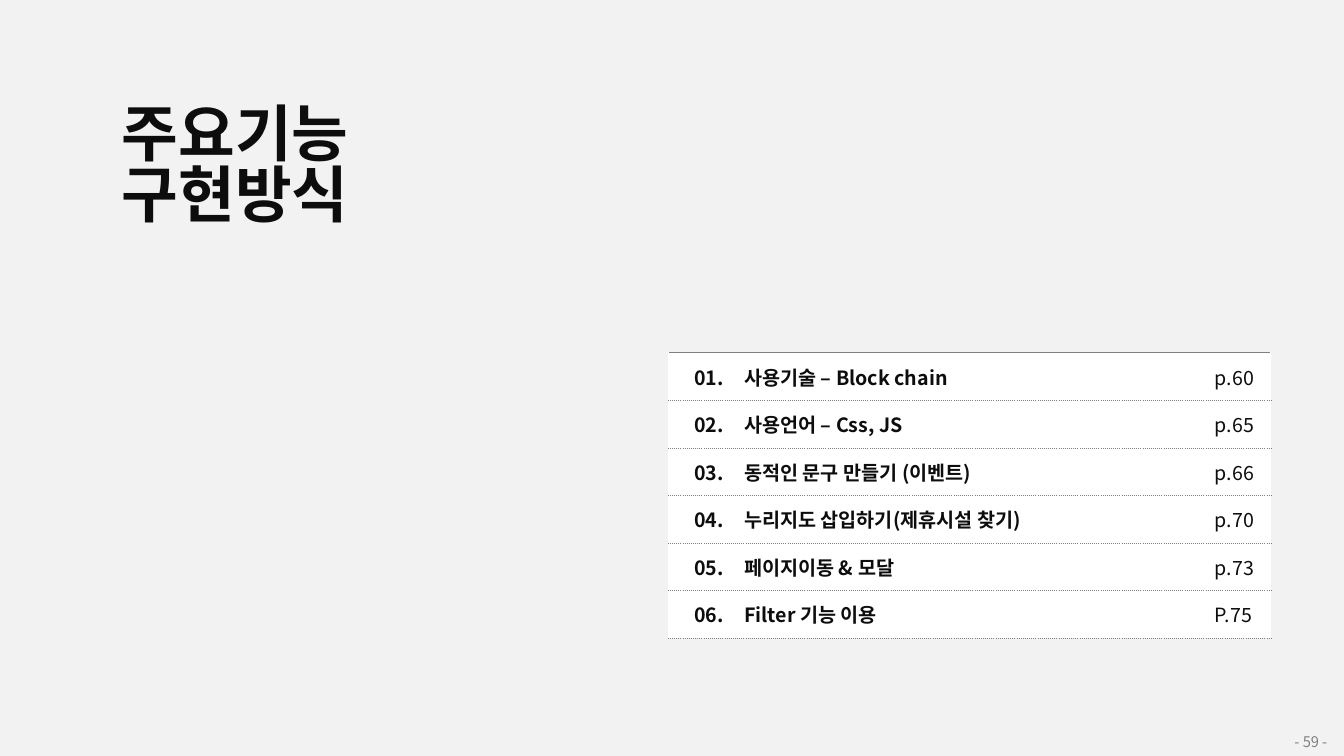
"""Build the section divider slide with its table of contents."""
import pptx
import pptx.util
import pptx.dml.color
import pptx.enum.text
import pptx.oxml
import pptx.oxml.ns
from dataclasses import dataclass

Inches = pptx.util.Inches
ALIGN = pptx.enum.text.PP_ALIGN
MIDDLE = pptx.enum.text.MSO_ANCHOR.MIDDLE

TITLE = "주요기능\v구현방식"
PAGE_NUMBER = "- 59 -"
CONTENTS = [
    ("01.", "사용기술 – Block chain", "p.60"),
    ("02.", "사용언어 – Css, JS", "p.65"),
    ("03.", "동적인 문구 만들기 (이벤트)", "p.66"),
    ("04.", "누리지도 삽입하기(제휴시설 찾기)", "p.70"),
    ("05.", "페이지이동 & 모달", "p.73"),
    ("06.", "Filter 기능 이용", "P.75"),
]
COLUMN_WIDTHS = (0.65, 4.67, 0.65)
TITLE_BOX = (1.11, 1.25, 4.84, 0.84)
CONTENTS_BOX = (6.63, 3.5, sum(COLUMN_WIDTHS), 2.83)
PAGE_NUMBER_BOX = (12.74, 7.22, 0.59, 0.28)


@dataclass(frozen=True)
class Theme:
    font: str = "Noto Sans CJK KR"
    background: str = "F2F2F2"
    ink: str = "0D0D0D"
    muted: str = "808080"
    panel: str = "FFFFFF"
    title_size: float = 44
    contents_size: float = 14
    number_size: float = 10.5
    title_spacing: float = 0.83


THEME = Theme()


def rgb(value):
    return pptx.dml.color.RGBColor.from_string(value)


def style(paragraph, size, color, bold=False):
    for run in paragraph.runs:
        run.font.size = pptx.util.Pt(size)
        run.font.bold = bold
        run.font.color.rgb = rgb(color)
        run.font.name = THEME.font
        east_asian = run.font._element.makeelement(pptx.oxml.ns.qn("a:ea"), {"typeface": THEME.font})
        run.font._element.find(pptx.oxml.ns.qn("a:latin")).addnext(east_asian)


def add_text(slide, box, text, size, color, bold=False, wrap=True):
    frame = slide.shapes.add_textbox(*map(Inches, box)).text_frame
    frame.text = text
    frame.word_wrap = wrap
    frame.auto_size = pptx.enum.text.MSO_AUTO_SIZE.SHAPE_TO_FIT_TEXT
    style(frame.paragraphs[0], size, color, bold)
    return frame


def set_borders(cell, borders):
    for index, side in enumerate("LRTB"):
        border = borders.get(side)
        if border:
            color, points, dash = border
            width = pptx.util.Pt(points)
            body = f'<a:solidFill><a:srgbClr val="{color}"/></a:solidFill><a:prstDash val="{dash}"/>'
        else:
            width, body = 0, "<a:noFill/>"
        line = pptx.oxml.parse_xml(
            f'<a:ln{side} {pptx.oxml.ns.nsdecls("a")} w="{width}">{body}</a:ln{side}>'
        )
        cell._tc.get_or_add_tcPr().insert(index, line)


def add_contents(slide):
    last = len(COLUMN_WIDTHS) - 1
    table = slide.shapes.add_table(
        len(CONTENTS), len(COLUMN_WIDTHS), *map(Inches, CONTENTS_BOX)
    ).table
    table.first_row = table.horz_banding = False
    for column, width in zip(table.columns, COLUMN_WIDTHS):
        column.width = Inches(width)
    edge = (THEME.panel, 1, "solid")
    dotted = (THEME.muted, 0.5, "sysDot")
    solid = (THEME.muted, 0.5, "solid")
    for row, entry in enumerate(CONTENTS):
        table.rows[row].height = Inches(CONTENTS_BOX[3] / len(CONTENTS))
        for column, text in enumerate(entry):
            cell = table.cell(row, column)
            cell.text_frame.text = text
            cell.vertical_anchor = MIDDLE
            cell.fill.solid()
            cell.fill.fore_color.rgb = rgb(THEME.panel)
            paragraph = cell.text_frame.paragraphs[0]
            paragraph.alignment = ALIGN.RIGHT if column == 0 else ALIGN.LEFT
            style(paragraph, THEME.contents_size, THEME.ink, column < last)
            set_borders(cell, {
                "L": edge if column == 0 else None,
                "R": edge if column == last else None,
                "T": solid if row == 0 else dotted,
                "B": dotted,
            })


def main():
    deck = pptx.Presentation()
    deck.slide_width, deck.slide_height = Inches(13.33), Inches(7.5)
    slide = deck.slides.add_slide(deck.slide_layouts[6])
    slide.background.fill.solid()
    slide.background.fill.fore_color.rgb = rgb(THEME.background)

    title = add_text(slide, TITLE_BOX, TITLE, THEME.title_size, THEME.ink, bold=True, wrap=False)
    title.vertical_anchor = MIDDLE
    title.paragraphs[0].line_spacing = THEME.title_spacing
    add_contents(slide)
    add_text(slide, PAGE_NUMBER_BOX, PAGE_NUMBER, THEME.number_size, THEME.muted)
    deck.save("out.pptx")


if __name__ == "__main__":
    main()
